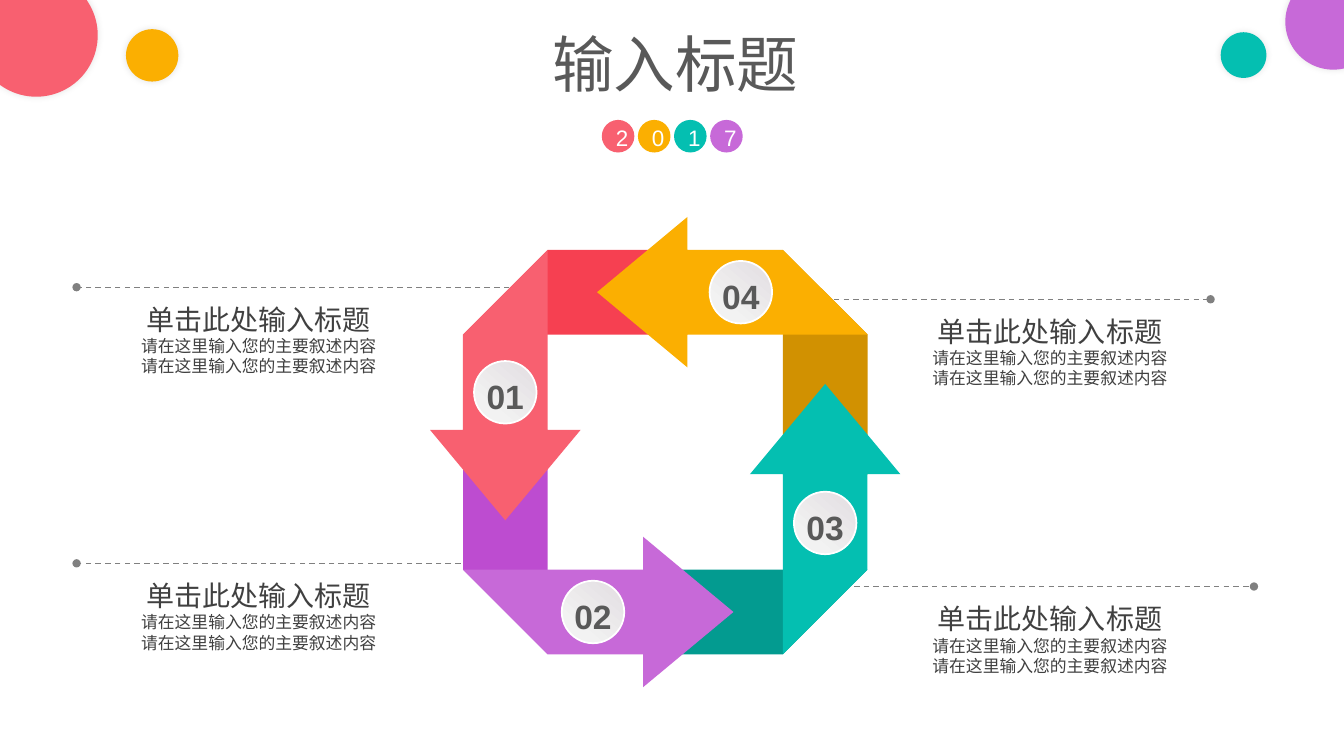
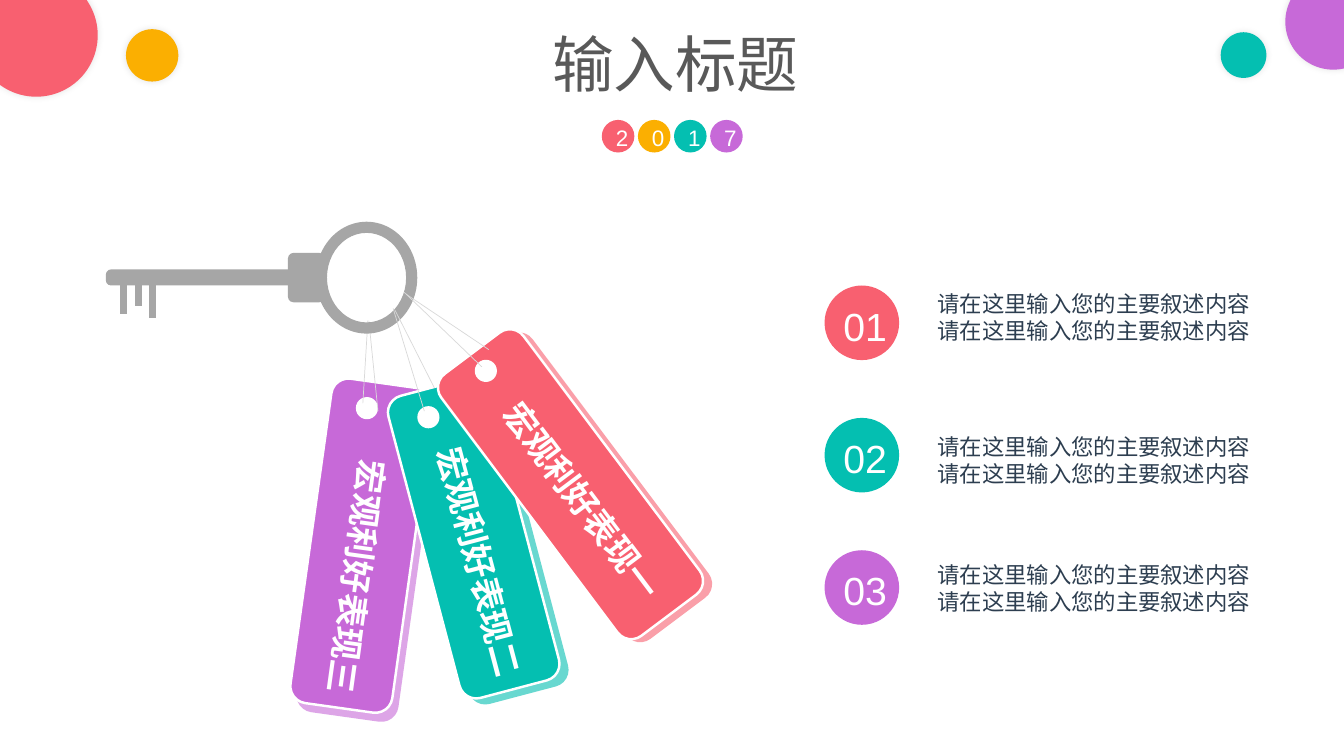
from dataclasses import dataclass
from math import cos, radians, sin

from lxml import etree
from pptx import Presentation
from pptx.dml.color import RGBColor
from pptx.enum.dml import MSO_LINE_DASH_STYLE
from pptx.enum.shapes import MSO_CONNECTOR, MSO_SHAPE
from pptx.enum.text import MSO_ANCHOR, MSO_AUTO_SIZE, PP_ALIGN
from pptx.oxml.ns import qn
from pptx.util import Inches, Pt

OVAL, ROUNDED, DONUT = MSO_SHAPE.OVAL, MSO_SHAPE.ROUNDED_RECTANGLE, MSO_SHAPE.DONUT
STRAIGHT, DASH = MSO_CONNECTOR.STRAIGHT, MSO_LINE_DASH_STYLE.DASH
LEFT, CENTER = PP_ALIGN.LEFT, PP_ALIGN.CENTER
TOP, MIDDLE = MSO_ANCHOR.TOP, MSO_ANCHOR.MIDDLE
NO_AUTOFIT = MSO_AUTO_SIZE.NONE

SLIDE_WIDTH, SLIDE_HEIGHT = Inches(13.33), Inches(7.5)
CELL = SLIDE_WIDTH / 40
COMPARISON_LAYOUT = 4


@dataclass(frozen=True)
class Theme:
    font: str = "Arial"
    red: str = "F86070"
    amber: str = "FBAF01"
    teal: str = "04BFB1"
    purple: str = "C769D8"
    dark_red: str = "F64051"
    dark_amber: str = "D19101"
    dark_teal: str = "039B90"
    dark_purple: str = "BD4CD0"
    white: str = "FFFFFF"
    heading: str = "595959"
    body: str = "404040"
    item: str = "2D3E50"
    leader: str = "808080"
    metal: str = "A6A6A6"
    string: str = "D9D9D9"
    badge_dark: str = "E2DDE1"
    badge_light: str = "F2F2F2"
    title_size: int = 44
    number_size: int = 28
    label_size: int = 24
    subtitle_size: int = 20
    item_size: int = 16
    body_size: int = 12


THEME = Theme()
PROMPT = "请在这里输入您的主要叙述内容"


@dataclass(frozen=True)
class Box:
    left: float
    top: float
    width: float
    height: float

    def inner(self, x, y, width, height):
        return Box(self.left + x, self.top + y, width, height)

    def center(self):
        return self.left + self.width / 2, self.top + self.height / 2


def square_around(x, y, size):
    return Box(x - size / 2, y - size / 2, size, size)


def cells(*values):
    return [round(value * CELL) for value in values]


def place(shape, box):
    shape.left, shape.top, shape.width, shape.height = cells(
        box.left, box.top, box.width, box.height)


def add_xml(parent, tag, **attributes):
    return etree.SubElement(parent, qn(tag), attributes)


def paint(shape, color, outline=None, outline_width=1):
    shape.shadow.inherit = False
    shape.fill.solid()
    shape.fill.fore_color.rgb = RGBColor.from_string(color)
    if outline:
        shape.line.color.rgb = RGBColor.from_string(outline)
        shape.line.width = Pt(outline_width)
    else:
        shape.line.fill.background()
    return shape


def add_shape(slide, kind, box, color, **outline):
    shape = slide.shapes.add_shape(kind, 0, 0, 0, 0)
    place(shape, box)
    return paint(shape, color, **outline)


def add_polygon(slide, points, color):
    corners = [tuple(cells(*point)) for point in points]
    builder = slide.shapes.build_freeform(*corners[0], scale=1.0)
    builder.add_line_segments(corners[1:], close=True)
    return paint(builder.convert_to_shape(), color)


def add_line(slide, start, end, color, width):
    line = slide.shapes.add_connector(STRAIGHT, *cells(*start, *end))
    line.line.color.rgb = RGBColor.from_string(color)
    line.line.width = Pt(width)
    add_xml(line._element.spPr, "a:effectLst")
    return line


def write(shape, *texts, size, color, bold=False, align=CENTER, anchor=MIDDLE,
          shift=(0, 0), lead_size=None, lead_indent=0):
    frame = shape.text_frame
    frame.auto_size, frame.word_wrap, frame.vertical_anchor = NO_AUTOFIT, True, anchor
    frame.margin_left, frame.margin_top = cells(*shift)
    frame.margin_right = frame.margin_bottom = 0
    for index, text in enumerate(texts):
        is_lead = index == 0
        paragraph = frame.paragraphs[0] if is_lead else frame.add_paragraph()
        paragraph.alignment = align
        paragraph.space_before = Pt(0)
        properties = paragraph._p.get_or_add_pPr()
        properties.set("marL", str(cells(lead_indent)[0] if is_lead else 0))
        properties.set("indent", "0")
        add_xml(properties, "a:buNone")
        run = paragraph.add_run()
        run.text = text
        run.font.name = THEME.font
        run.font.size = Pt(lead_size if is_lead and lead_size else size)
        run.font.bold = bold
        run.font.color.rgb = RGBColor.from_string(color)


def add_corner_circles(slide):
    for x, y, size, color in [
        (39.68, 0.65, 2.85, THEME.purple),
        (37.01, 1.64, 1.36, THEME.teal),
        (1.08, 1.05, 3.66, THEME.red),
        (4.53, 1.65, 1.56, THEME.amber),
    ]:
        circle = add_shape(slide, OVAL, square_around(x, y, size), color)
        effects = circle._element.spPr.find(qn("a:effectLst"))
        glow = add_xml(effects, "a:outerShdw", blurRad=str(Pt(5)), dist="0",
                       algn="ctr", rotWithShape="0")
        shade = add_xml(glow, "a:srgbClr", val="000000")
        add_xml(shade, "a:alpha", val="11000")


def add_year(slide, box):
    colors = THEME.red, THEME.amber, THEME.teal, THEME.purple
    for index, (digit, color) in enumerate(zip("2017", colors)):
        dot = add_shape(slide, OVAL, box.inner(index * box.width / 4, 0, 0.97, 0.97), color)
        write(dot, digit, size=THEME.item_size, color=THEME.white, shift=(0.24, 0.06))


def start_slide(presentation):
    slide = presentation.slides.add_slide(presentation.slide_layouts[COMPARISON_LAYOUT])
    title, *bodies = slide.placeholders
    place(title, Box(15.6, 0.6, 9, 2.52))
    write(title, "输入标题", size=THEME.title_size, color=THEME.heading)
    add_corner_circles(slide)
    add_year(slide, Box(17.91, 3.57, 4.3, 0.97))
    return slide, bodies


def add_callout(slide, body, box, outer, inner):
    place(body, box.inner(0, 0.45, box.width, box.height - 0.45))
    write(body, "单击此处输入标题", PROMPT, PROMPT, size=THEME.body_size,
          color=THEME.body, align=LEFT, anchor=TOP,
          lead_size=THEME.subtitle_size, lead_indent=0.16)
    leader = add_line(slide, (inner, box.top), (outer, box.top), THEME.leader, 1)
    leader.line.dash_style = DASH
    outline = leader.line._get_or_add_ln()
    for end in ("a:headEnd", "a:tailEnd"):
        add_xml(outline, end, type="oval")


def add_badge(slide, box, number):
    badge = add_shape(slide, OVAL, box, THEME.white, outline=THEME.white, outline_width=1.25)
    badge.fill.gradient()
    badge.fill.gradient_angle = 230
    stops = badge.fill.gradient_stops
    for stop, color, position in zip(stops, (THEME.badge_dark, THEME.badge_light), (0, 0.76)):
        stop.color.rgb = RGBColor.from_string(color)
        stop.position = position
    write(badge, number, size=THEME.label_size, color=THEME.heading, bold=True, shift=(0, 0.24))


def add_cycle(slide, box):
    center_x, center_y = box.center()
    outer, inner, neck = box.width * 0.43, box.width * 0.25, 0.66
    middle = (outer + inner) / 2
    fold = [(-outer, -inner), (neck, -inner), (neck, -outer), (-inner, -outer)]
    arrow = [(-inner, -outer), (-outer, -inner), (-outer, -neck), (-box.width / 2, -neck),
             (-middle, 2.03), (box.width / 2 - 2 * middle, -neck), (-inner, -neck)]

    def turned(points, quarters):
        for _ in range(quarters):
            points = [(y, -x) for x, y in points]
        return [(center_x + x, center_y + y) for x, y in points]

    folds = THEME.dark_red, THEME.dark_purple, THEME.dark_teal, THEME.dark_amber
    arrows = THEME.red, THEME.purple, THEME.teal, THEME.amber
    for quarters, color in enumerate(folds):
        add_polygon(slide, turned(fold, quarters), color)
    for quarters, (color, rise) in enumerate(zip(arrows, (1.78, 2.15, 2.11, 2.25))):
        add_polygon(slide, turned(arrow, quarters), color)
        (x, y), = turned([(-middle, -rise)], quarters)
        add_badge(slide, square_around(x, y, 1.86), f"{quarters + 1:02}")


def build_cycle_slide(presentation):
    slide, bodies = start_slide(presentation)
    callouts = [
        (4.2, 8.55, 2.28, 16.14),
        (27.75, 8.91, 36.03, 24.42),
        (4.2, 16.77, 2.28, 14.4),
        (27.75, 17.46, 37.32, 25.02),
    ]
    for body, (left, top, outer, inner) in zip(bodies, callouts):
        add_callout(slide, body, Box(left, top, 7.6, 3), outer, inner)
    add_cycle(slide, Box(12.8, 6.46, 14, 14))


def add_tag(slide, box, angle, color, label, drop, label_drop, hole, strings):
    back = add_shape(slide, ROUNDED, box.inner(*drop, box.width, box.height), color)
    tint = back._element.spPr.find(qn("a:solidFill"))[0]
    add_xml(tint, "a:alpha", val="60000")
    front = add_shape(slide, ROUNDED, box, color, outline=THEME.white, outline_width=1.75)
    back.rotation = front.rotation = angle
    add_shape(slide, OVAL, square_around(*hole, 0.66), THEME.white)
    for start, end in strings:
        add_line(slide, start, end, THEME.string, 0.5)
    x, y = box.center()
    x -= label_drop * sin(radians(angle))
    y += label_drop * cos(radians(angle))
    caption = slide.shapes.add_textbox(0, 0, 0, 0)
    place(caption, Box(x - 4.2, y - 0.75, 8.4, 1.5))
    caption.rotation = 90 + angle
    write(caption, label, size=THEME.label_size, color=THEME.white, bold=True)


def add_key(slide, box):
    for x, top, bottom in [(0.54, 1.71, 2.76), (0.96, 1.8, 2.52), (1.38, 1.8, 2.88)]:
        add_line(slide, (box.left + x, box.top + top), (box.left + x, box.top + bottom),
                 THEME.metal, 5)
    shaft = add_shape(slide, ROUNDED, box.inner(0, 1.42, 5.7, 0.48), THEME.metal)
    shaft.adjustments[0] = 0.33
    collar = add_shape(slide, ROUNDED, box.inner(5.42, 0.93, 1.1, 1.47), THEME.metal)
    collar.adjustments[0] = 0.15
    ring = add_shape(slide, DONUT, box.inner(box.width - 3.02, 0, 3.02, box.height), THEME.metal)
    ring.adjustments[0] = 0.11


def add_item(slide, body, box, text_top, number, color):
    circle = add_shape(slide, OVAL, box.inner(0, 0, 2.22, 2.22), color)
    write(circle, number, size=THEME.number_size, color=THEME.white, shift=(0.2, 0.16))
    place(body, Box(box.left + 3.36, text_top, box.width - 3.36, box.height))
    write(body, PROMPT, PROMPT, size=THEME.item_size, color=THEME.item, align=LEFT, anchor=TOP)


def build_key_slide(presentation):
    slide, bodies = start_slide(presentation)
    add_tag(slide, Box(9.24, 11.37, 3.06, 9.75), 8, THEME.purple, "宏观利好表现三",
            (0.18, 0.27), 0.95, (10.92, 12.15),
            [((10.95, 9.54), (10.8, 12)), ((10.98, 9.57), (11.25, 12.24))])
    add_key(slide, Box(3.15, 6.6, 9.27, 3.33))
    add_tag(slide, Box(12.57, 11.37, 3.06, 9.3), -14.8, THEME.teal, "宏观利好表现二",
            (0.27, 0.18), 0.72, (12.75, 12.42),
            [((11.7, 9.18), (12.63, 12.24)), ((11.76, 9.24), (12.93, 11.55))])
    add_tag(slide, Box(15.45, 9.54, 3.06, 9.75), -36.9, THEME.red, "宏观利好表现一",
            (0.27, 0.09), 0.6, (14.46, 11.04),
            [((12.03, 8.7), (14.34, 10.92)), ((12.09, 8.76), (14.55, 10.41))])
    colors = THEME.red, THEME.teal, THEME.purple
    for index, (color, text_top) in enumerate(zip(colors, (8.64, 12.9, 16.71))):
        box = Box(24.54, 8.5 + index * 3.94, 13.4, 2.22)
        add_item(slide, bodies[index], box, text_top, f"{index + 1:02}", color)
    unused = bodies[-1]._element
    unused.getparent().remove(unused)


def main():
    presentation = Presentation()
    presentation.slide_width, presentation.slide_height = SLIDE_WIDTH, SLIDE_HEIGHT
    build_cycle_slide(presentation)
    build_key_slide(presentation)
    presentation.save("out.pptx")


if __name__ == "__main__":
    main()
